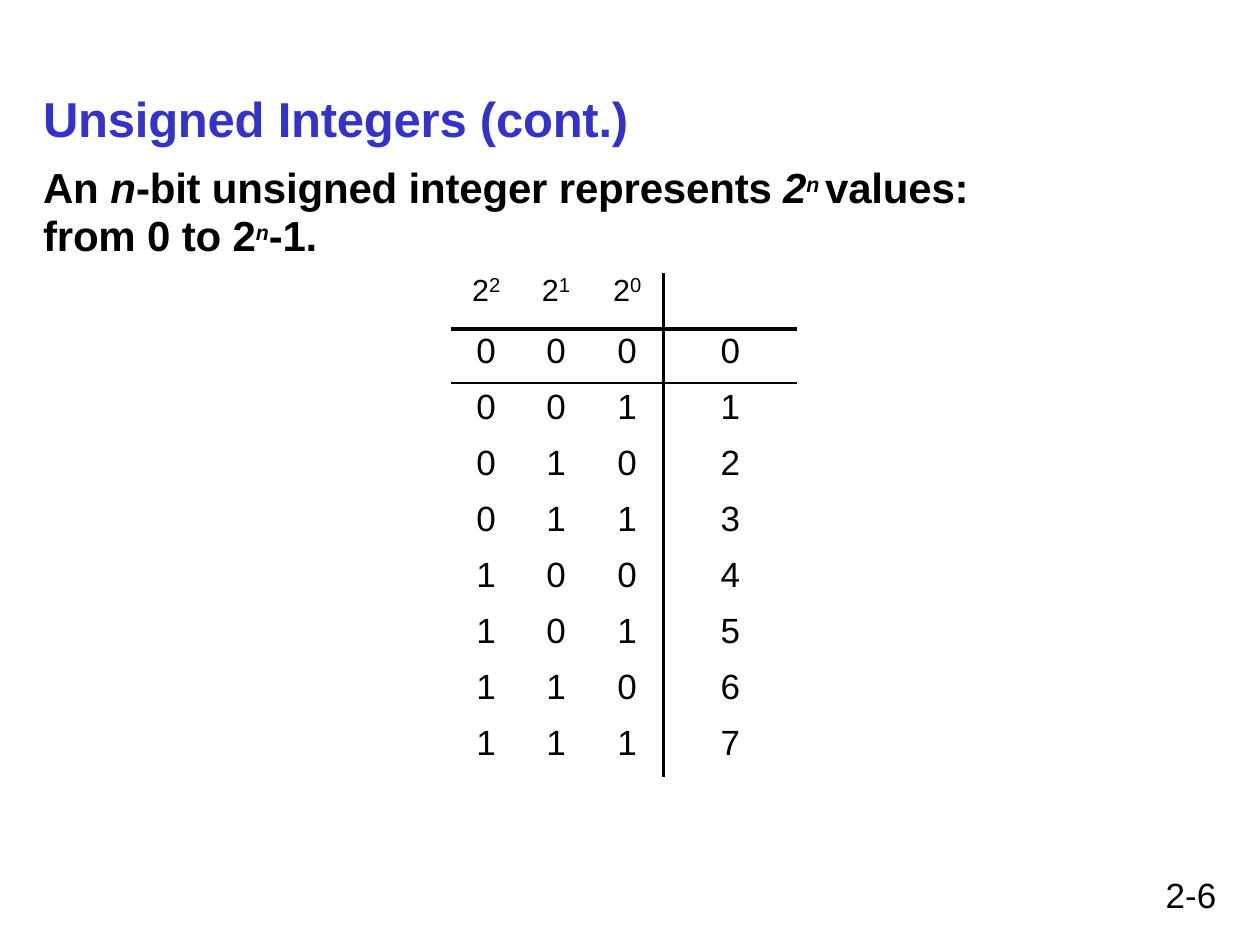
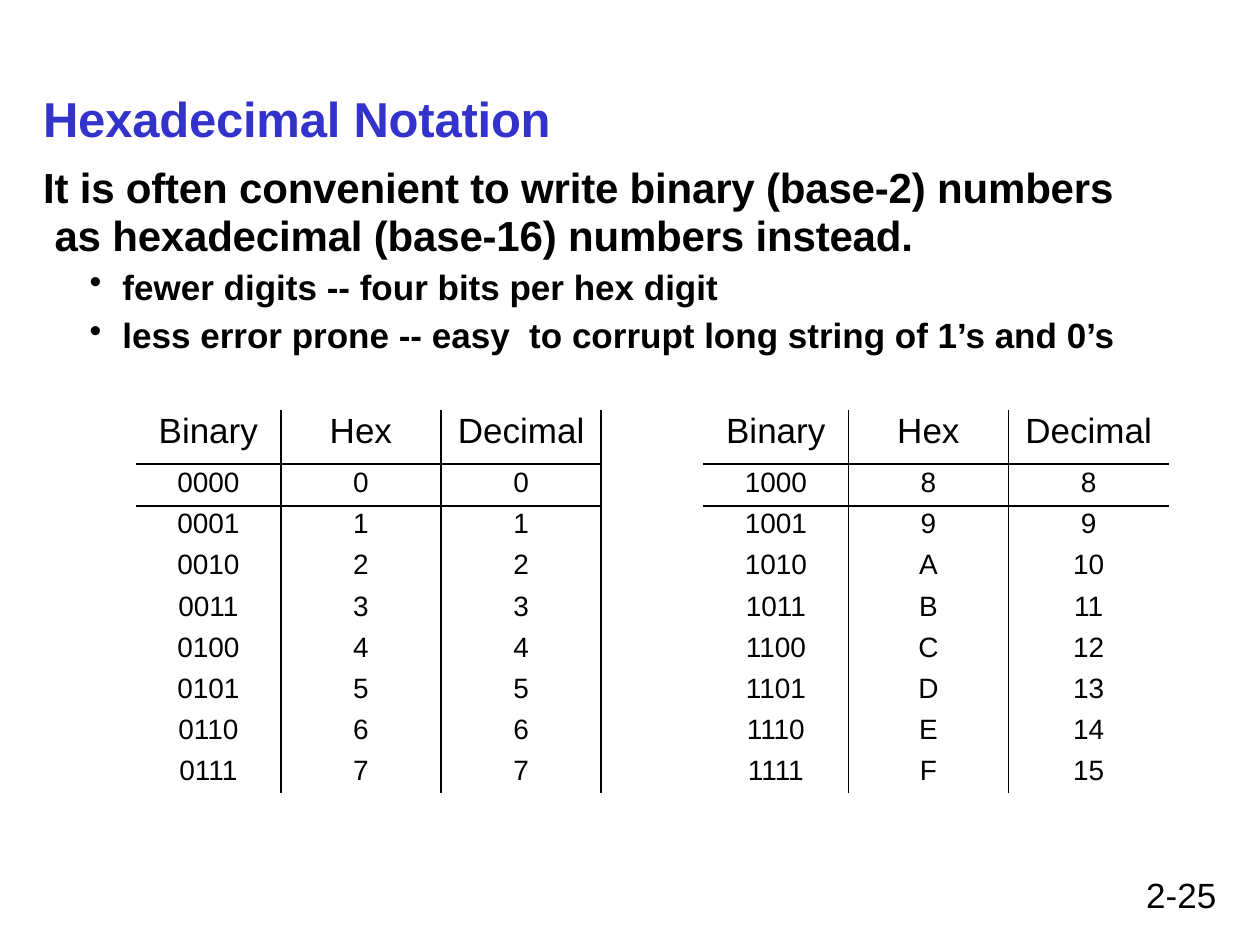
from dataclasses import dataclass

from lxml.etree import SubElement
from pptx import Presentation
from pptx.dml.color import RGBColor
from pptx.enum.text import PP_ALIGN
from pptx.oxml.ns import qn
from pptx.slide import Slide
from pptx.util import Cm, Pt

FONT = "Arial"
COLORS = {"title": "3333CC", "text": "000000", "rule": "000000"}


@dataclass(frozen=True)
class Span:
    """A stretch of text in one format; baseline is in percent, spacing in points."""
    text: str
    size: float
    bold: bool = False
    italic: bool = False
    baseline: int = 0
    spacing: float = 0
    color: str = "text"


@dataclass(frozen=True)
class Para:
    spans: list[Span]
    left: float = 0
    indent: float = 0
    line: float | None = None
    before: float = 0
    bullet: str = ""
    tab: float = 0
    align: PP_ALIGN = PP_ALIGN.LEFT


@dataclass(frozen=True)
class Band:
    """Row format: height and top inset in cm, text size in points."""
    height: float
    inset: float
    size: float


@dataclass(frozen=True)
class Grid:
    """Rules map a boundary (0 is the left or top edge) to a width in points."""
    left: float
    top: float
    columns: list[float]
    bands: list[Band]
    rows: list[list[str]]
    column_rules: dict[int, float]
    row_rules: dict[int, float]
    gap_columns: tuple[int, ...] = ()
    powers_in_header: bool = False


def fill_paragraph(paragraph, para: Para) -> None:
    paragraph.alignment = para.align
    if para.line:
        paragraph.line_spacing = Pt(para.line)
    if para.before:
        paragraph.space_before = Pt(para.before)
    properties = paragraph._p.get_or_add_pPr()
    properties.set("marL", str(Cm(para.left)))
    properties.set("indent", str(Cm(para.indent)))
    if para.bullet:
        SubElement(properties, qn("a:buChar"), char=para.bullet)
    if para.tab:
        stops = SubElement(properties, qn("a:tabLst"))
        SubElement(stops, qn("a:tab"), pos=str(Cm(para.tab)), algn="l")
    for span in para.spans:
        run = paragraph.add_run()
        run.text = span.text
        run.font.name = FONT
        run.font.size = Pt(span.size)
        run.font.bold = span.bold
        run.font.italic = span.italic
        run.font.color.rgb = RGBColor.from_string(COLORS[span.color])
        attributes = run._r.get_or_add_rPr()
        if span.baseline:
            attributes.set("baseline", str(span.baseline * 1000))
        if span.spacing:
            attributes.set("spc", str(round(span.spacing * 100)))


def add_text(slide: Slide, left: float, top: float, width: float, height: float,
             paras: list[Para], inset: float = 0) -> None:
    frame = slide.shapes.add_textbox(Cm(left), Cm(top), Cm(width), Cm(height)).text_frame
    frame.word_wrap = True
    frame.margin_left = frame.margin_right = frame.margin_bottom = 0
    frame.margin_top = Cm(inset)
    for index, para in enumerate(paras):
        fill_paragraph(frame.add_paragraph() if index else frame.paragraphs[0], para)


def add_border(cell, side: str, width: float) -> None:
    line = SubElement(cell._tc.get_or_add_tcPr(), qn(f"a:{side}"), w=str(Pt(width)))
    if width:
        fill = SubElement(line, qn("a:solidFill"))
        SubElement(fill, qn("a:srgbClr"), val=COLORS["rule"])
    else:
        SubElement(line, qn("a:noFill"))


def add_grid(slide: Slide, grid: Grid) -> None:
    table = slide.shapes.add_table(
        len(grid.rows), len(grid.columns), Cm(grid.left), Cm(grid.top),
        Cm(sum(grid.columns)), Cm(sum(band.height for band in grid.bands))).table
    table.first_row = table.horz_banding = False
    for column, width in zip(table.columns, grid.columns):
        column.width = Cm(width)
    for r, (band, values) in enumerate(zip(grid.bands, grid.rows)):
        table.rows[r].height = Cm(band.height)
        for c, value in enumerate(values):
            cell = table.cell(r, c)
            cell.margin_left = cell.margin_right = cell.margin_bottom = 0
            cell.margin_top = Cm(band.inset)
            row_rules = {} if c in grid.gap_columns else grid.row_rules
            add_border(cell, "lnL", grid.column_rules.get(c, 0))
            add_border(cell, "lnR", grid.column_rules.get(c + 1, 0))
            add_border(cell, "lnT", row_rules.get(r, 0))
            add_border(cell, "lnB", row_rules.get(r + 1, 0))
            cell.fill.background()
            if not value:
                continue
            spans, line = [Span(value, band.size)], None
            if grid.powers_in_header and r == 0:
                base, exponent = value
                spans = [Span(base, band.size, baseline=-17), Span(exponent, 11.5)]
                line = 19.6
            fill_paragraph(cell.text_frame.paragraphs[0],
                           Para(spans, line=line, align=PP_ALIGN.CENTER))


def add_page(deck, title: str, number: str) -> Slide:
    slide = deck.slides.add_slide(deck.slide_layouts[6])
    add_text(slide, 23.06, 17.65, 1.46, 0.86,
             [Para([Span(number, 20)], line=23.1, align=PP_ALIGN.RIGHT)])
    heading = Span(title, 28, bold=True, spacing=-0.1, color="title")
    add_text(slide, 0.84, 1.75, 20, 1.24, [Para([heading], left=0.03)], inset=0.03)
    return slide


def body(text: str, size: float = 24, italic: bool = False, baseline: int = 0,
         spacing: float = -0.1) -> Span:
    return Span(text, size, True, italic, baseline, spacing)


def add_unsigned_integers(deck) -> None:
    slide = add_page(deck, "Unsigned Integers (cont.)", "2-6")
    statement = [
        body("An "), body("n", italic=True), body("-bit unsigned integer represents "),
        body("2", italic=True), body("n ", 21, True, 28), body("values: from "),
        body("0 to 2"), body("n", 21, True, 28), body("-1."),
    ]
    add_text(slide, 0.84, 3.2, 19.1, 2.06, [Para(statement, left=0.03, line=27.4)], inset=0.1)
    counting = [[*f"{value:03b}", str(value)] for value in range(8)]
    add_grid(slide, Grid(
        left=9.09, top=5.51, columns=[1.42, 1.4, 1.47, 2.69],
        bands=[Band(1.12, 0, 30), Band(1.09, 0.05, 20),
               *[Band(1.13, 0.1, 20)] * 6, Band(1.17, 0.1, 20)],
        rows=[["22", "21", "20", ""], *counting],
        column_rules={3: 2.25}, row_rules={1: 2.25, 2: 1.5}, powers_in_header=True))


def add_hexadecimal_notation(deck) -> None:
    slide = add_page(deck, "Hexadecimal Notation", "2-25")
    reason = ("It is often convenient to write binary (base-2) numbers "
              "as hexadecimal (base-16) numbers instead.")
    benefits = [("fewer digits -- four bits per hex digit", 3.1),
                ("less error prone -- easy\tto corrupt long string of 1’s and 0’s", 3.8)]
    add_text(slide, 0.84, 3.2, 21.87, 4.01, [
        Para([body(reason)], left=0.26, indent=-0.23, line=27.4),
        *[Para([body(text, 20, spacing=0)], left=1.63, indent=-0.66, before=before,
               bullet="•", tab=9.83) for text, before in benefits],
    ], inset=0.1)

    def notations(value: int) -> list[str]:
        return [f"{value:04b}", f"{value:X}", str(value)]

    header = ["Binary", "Hex", "Decimal"]
    half = [2.92, 3.23, 3.23]
    add_grid(slide, Grid(
        left=2.74, top=8.26, columns=[*half, 2.06, *half],
        bands=[Band(1.09, 0.05, 20), Band(0.85, 0.08, 16),
               *[Band(0.83, 0.05, 16)] * 6, Band(0.81, 0.05, 16)],
        rows=[[*header, "", *header],
              *[[*notations(v), "", *notations(v + 8)] for v in range(8)]],
        column_rules=dict.fromkeys((1, 2, 3, 5, 6), 1),
        row_rules={1: 1, 2: 1}, gap_columns=(3,)))


def main() -> None:
    deck = Presentation()
    deck.slide_width, deck.slide_height = Cm(25.4), Cm(19.05)
    add_unsigned_integers(deck)
    add_hexadecimal_notation(deck)
    deck.save("out.pptx")


if __name__ == "__main__":
    main()
